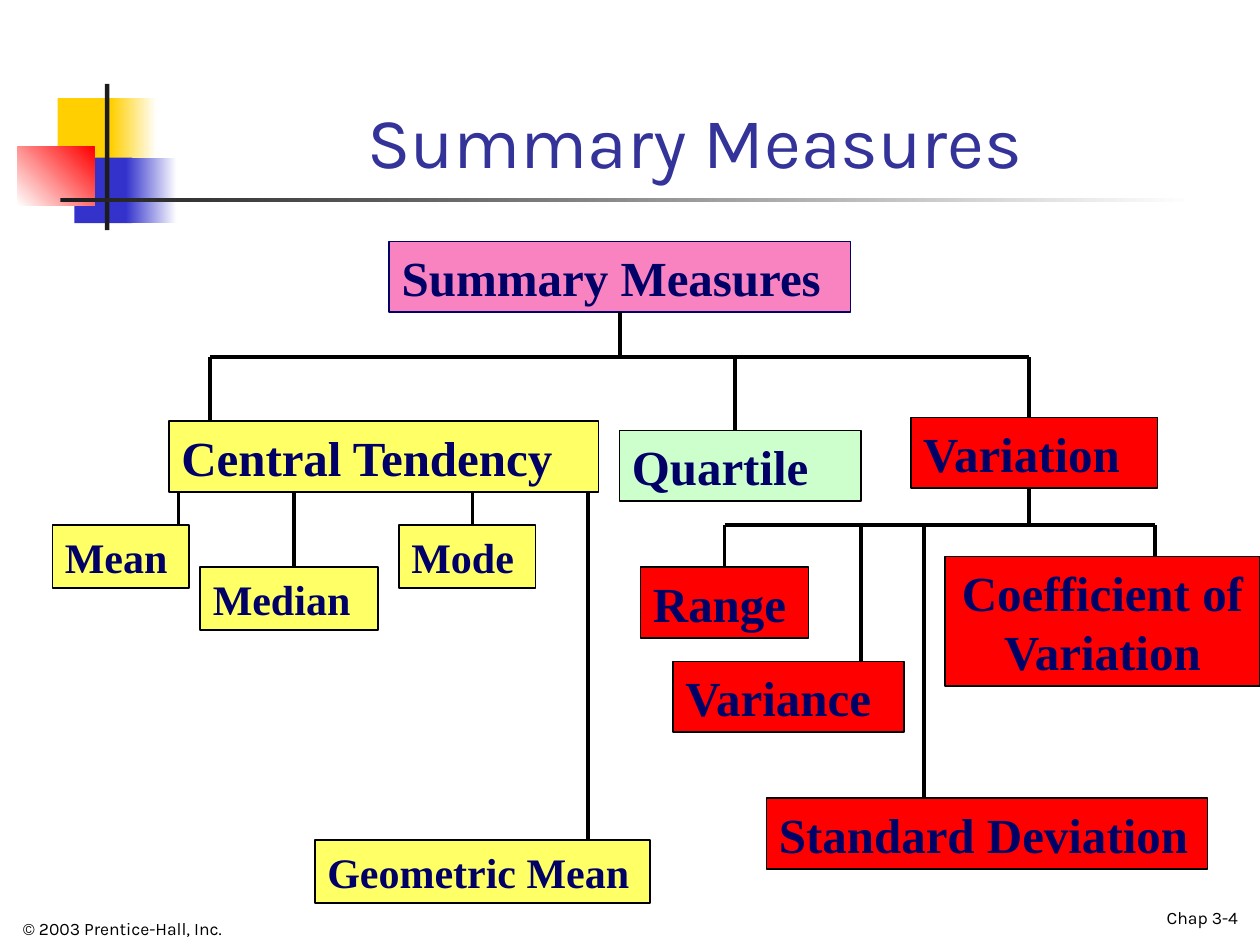
"""Build the summary measures slide."""
from dataclasses import dataclass

from lxml import etree
from pptx import Presentation
from pptx import util as u
from pptx.dml.color import RGBColor
from pptx.enum import shapes, text
from pptx.oxml.ns import qn


@dataclass
class Theme:
    head: str = "Karla"
    body: str = "Times New Roman"
    title: float = 41
    large: float = 28
    small: float = 24
    foot: float = 10
    ink: str = "000066"
    blue: str = "333399"
    black: str = "000000"
    white: str = "FFFFFF"
    dark: str = "1C1C1C"
    gold: str = "FFCF01"
    navy: str = "3333CC"
    red: str = "FF0000"
    pink: str = "F983C1"
    lemon: str = "FFFF66"
    mint: str = "CCFFCC"
    edge: float = 1
    rule: float = 2.25


def put(item, vals):
    for key, val in vals.items():
        setattr(item, key, val)


class Deck:
    def __init__(self, theme):
        self.theme = theme
        self.show = Presentation()
        put(self.show, {"slide_width": u.Pt(720), "slide_height": u.Pt(540)})
        self.slide = self.show.slides.add_slide(self.show.slide_layouts[6])

    def letter(self, shape, words, size, face, tint, bold=False, align="LEFT",
               anchor="TOP", lead=None):
        frame = shape.text_frame
        put(frame, {"word_wrap": True,
                    "vertical_anchor": getattr(text.MSO_ANCHOR, anchor)})
        para = frame.paragraphs[0]
        para.text = words
        put(para, {"alignment": getattr(text.PP_ALIGN, align),
                   "line_spacing": lead})
        put(para.font, {"size": u.Pt(size), "name": face, "bold": bold})
        para.font.color.rgb = RGBColor.from_string(tint)

    def block(self, x, y, w, h, *tints, angle=0):
        shape = self.slide.shapes.add_shape(
            shapes.MSO_SHAPE.RECTANGLE, *map(u.Pt, (x, y, w, h)))
        shape.shadow.inherit = False
        shape.line.fill.background()
        if len(tints) == 1:
            shape.fill.solid()
            shape.fill.fore_color.rgb = RGBColor.from_string(tints[0])
        else:
            shape.fill.gradient()
            shape.fill.gradient_angle = angle
            for stop, tint in zip(shape.fill.gradient_stops, tints):
                stop.color.rgb = RGBColor.from_string(tint)
        return shape

    def node(self, words, x, y, w, h, fill, size, edge=None, align="LEFT"):
        t = self.theme
        shape = self.block(x, y, w, h, fill)
        shape.line.color.rgb = RGBColor.from_string(edge or t.black)
        shape.line.width = u.Pt(t.edge)
        self.letter(shape, words, size, t.body, t.ink, bold=True, align=align)
        return shape

    def label(self, words, x, y, w, h, size, tint, **form):
        box = self.slide.shapes.add_textbox(*map(u.Pt, (x, y, w, h)))
        self.letter(box, words, size, self.theme.head, tint,
                    anchor="BOTTOM", **form)

    def line(self, x1, y1, x2, y2, start=None, end=None):
        link = self.slide.shapes.add_connector(
            shapes.MSO_CONNECTOR.STRAIGHT, *map(u.Pt, (x1, y1, x2, y2)))
        link.line.color.rgb = RGBColor.from_string(self.theme.black)
        link.line.width = u.Pt(self.theme.rule)
        etree.SubElement(link._element.spPr, qn("a:effectLst"))
        if start is not None:
            link.begin_connect(start, 2)
        if end is not None:
            link.end_connect(end, 0)


def main():
    t = Theme()
    deck = Deck(t)

    deck.block(33, 56, 34.5, 37.5, t.gold)
    deck.block(63.5, 56, 26, 37.5, t.gold, t.white)
    deck.block(42.5, 90, 33, 37.5, t.navy)
    deck.block(72, 90, 29, 37.5, t.navy, t.white)
    deck.block(10, 84, 44, 33.5, t.white, t.red, angle=45)
    deck.block(60, 48, 2.5, 83.5, t.dark)
    deck.block(34.5, 113, 648, 2.5, t.dark, t.white)

    deck.label("Summary Measures", 90.5, 18, 613.5, 90, t.title, t.blue,
               align="CENTER", lead=1.1)
    deck.label("© 2003 Prentice-Hall, Inc.", 6, 515, 288, 25, t.foot, t.black)
    deck.label("Chap 3-4", 564.5, 497.5, 150, 36.5, t.foot, t.black,
               align="RIGHT")

    tall, low = 40.5, 36
    rail, fork = 204, 300
    root = deck.node("Summary Measures", 222.5, 138, 263.5, tall, t.pink,
                     t.large, edge=t.ink)
    deck.line(354.25, 178.5, 354.25, rail, start=root)
    deck.line(120, rail, 588, rail)
    groups = [("Central Tendency", 96.5, 240.5, 245.5, t.lemon, 120),
              ("Quartile", 354, 246, 138, t.mint, 420),
              ("Variation", 520.5, 238.5, 141, t.red, 588)]
    for words, x, y, w, fill, mid in groups:
        deck.node(words, x, y, w, tall, fill, t.large)
        deck.line(mid, rail, mid, y)

    means = [("Mean", 30, 300, 78, 102), ("Median", 114.5, 324, 101.5, 168),
             ("Mode", 228, 300, 78, 270),
             ("Geometric Mean", 180, 480, 191.5, 336)]
    for words, x, y, w, mid in means:
        deck.node(words, x, y, w, low, t.lemon, t.small)
        deck.line(mid, 281, mid, y)

    deck.line(588, 279, 588, fork)
    deck.line(414, fork, 660, fork)
    spread = [("Variance", 384.5, 378, 132, 492),
              ("Standard Deviation", 438, 456, 252, 528)]
    for words, x, y, w, mid in spread:
        deck.node(words, x, y, w, tall, t.red, t.large)
        deck.line(mid, fork, mid, y)
    span = deck.node("Range", 366, 324, 96, tall, t.red, t.large)
    deck.line(414, fork, 414, 324, end=span)
    deck.node("Coefficient of Variation", 540, 318, 180, 74, t.red, t.large,
              align="CENTER")
    deck.line(660, fork, 660, 318)

    deck.show.save("out.pptx")


if __name__ == "__main__":
    main()
